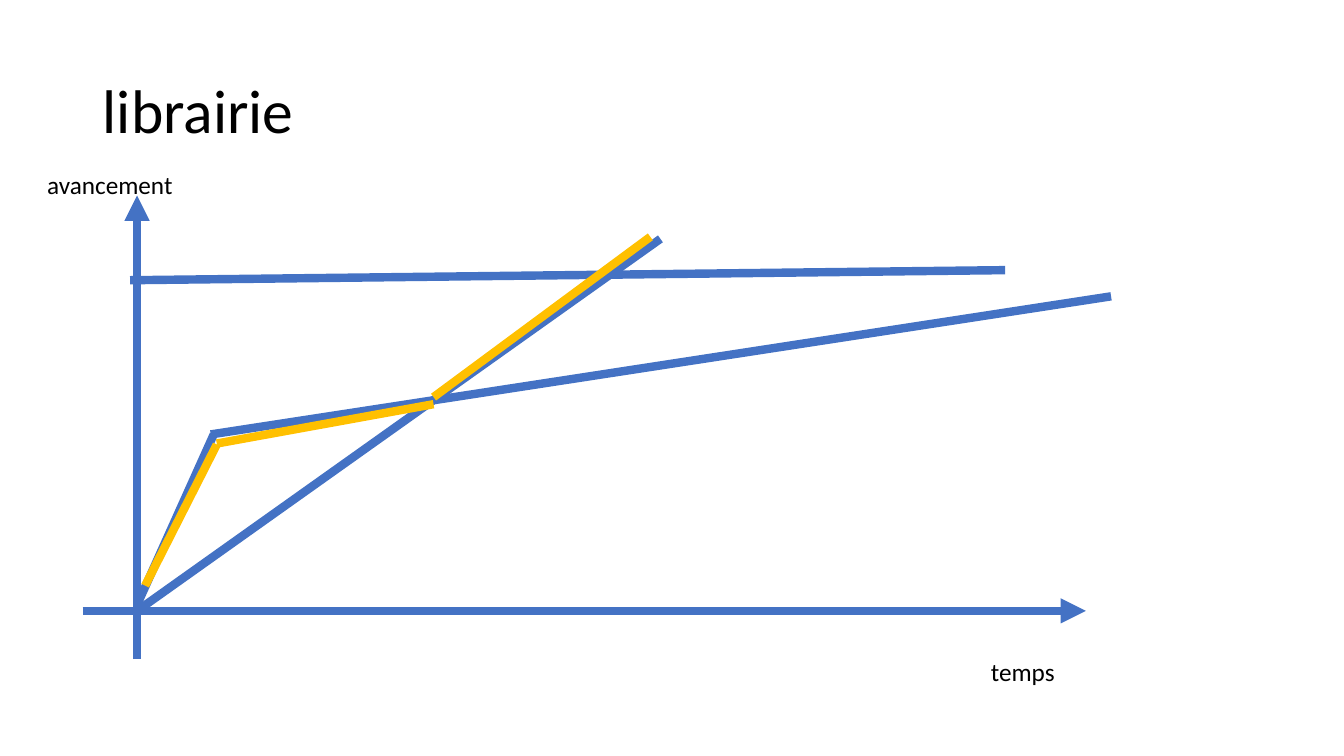
from dataclasses import dataclass

from lxml.etree import SubElement
from pptx import Presentation
from pptx.dml.color import RGBColor
from pptx.enum.shapes import MSO_CONNECTOR
from pptx.enum.text import MSO_ANCHOR, MSO_AUTO_SIZE, PP_ALIGN
from pptx.oxml.ns import qn
from pptx.util import Inches, Pt


@dataclass(frozen=True)
class Theme:
    font: str = "Calibri"
    text: str = "000000"
    curve: str = "4472C4"
    highlight: str = "FFC000"
    title_size: int = 44
    label_size: int = 18
    line_width: int = 6


THEME = Theme()

# Points are measured from the top left corner of the chart box.
AXES = [((0.99, 4.91), (0.99, 0.31)), ((0.45, 4.43), (10.4, 4.43))]
CURVES = [
    ((0.99, 4.37), (1.75, 2.68)),
    ((1.72, 2.68), (10.65, 1.31)),
    ((0.99, 4.43), (6.18, 0.74)),
    ((0.92, 1.15), (9.6, 1.05)),
]
HIGHLIGHTS = [
    ((1.07, 4.18), (1.78, 2.78)),
    ((3.93, 2.31), (6.08, 0.72)),
    ((1.78, 2.77), (3.93, 2.38)),
]
LABELS = [("temps", (9.36, 4.83, 0.84, 0.4)), ("avancement", (0, 0, 1.46, 0.4))]


def write_text(frame, text, size, color=THEME.text, line_spacing=1.0):
    para = frame.paragraphs[0]
    para.alignment = PP_ALIGN.LEFT
    para.line_spacing = line_spacing
    span = para.add_run()
    span.text = text
    span.font.name = THEME.font
    span.font.size = Pt(size)
    span.font.color.rgb = RGBColor.from_string(color)


def add_line(page, origin, start, end, color, arrow=False):
    left, top = origin
    line = page.shapes.add_connector(
        MSO_CONNECTOR.STRAIGHT,
        Inches(left + start[0]), Inches(top + start[1]),
        Inches(left + end[0]), Inches(top + end[1]),
    )
    line.line.color.rgb = RGBColor.from_string(color)
    line.line.width = Pt(THEME.line_width)
    if arrow:
        SubElement(line.line._get_or_add_ln(), qn("a:tailEnd"), type="triangle")
    SubElement(line._element.spPr, qn("a:effectLst"))


def add_label(page, origin, text, box):
    left, top, width, height = box
    label = page.shapes.add_textbox(
        Inches(origin[0] + left), Inches(origin[1] + top), Inches(width), Inches(height)
    )
    frame = label.text_frame
    frame.word_wrap = False
    frame.auto_size = MSO_AUTO_SIZE.SHAPE_TO_FIT_TEXT
    write_text(frame, text, THEME.label_size)


def add_title(page, text, box):
    title = page.shapes.title
    title.left, title.top, title.width, title.height = (Inches(value) for value in box)
    title.text_frame.vertical_anchor = MSO_ANCHOR.MIDDLE
    write_text(title.text_frame, text, THEME.title_size, line_spacing=0.9)


def add_progress_chart(page, origin):
    """Draw the axes, their labels, the curves and the highlighted path."""
    for start, end in AXES:
        add_line(page, origin, start, end, THEME.curve, arrow=True)
    for text, box in LABELS:
        add_label(page, origin, text, box)
    for color, segments in ((THEME.curve, CURVES), (THEME.highlight, HIGHLIGHTS)):
        for start, end in segments:
            add_line(page, origin, start, end, color)


def main():
    deck = Presentation()
    deck.slide_width, deck.slide_height = Inches(13.33), Inches(7.5)
    page = deck.slides.add_slide(deck.slide_layouts.get_by_name("Title Only"))
    add_title(page, "librairie", (0.92, 0.4, 11.5, 1.45))
    add_progress_chart(page, (0.37, 1.63))
    deck.save("out.pptx")


if __name__ == "__main__":
    main()
